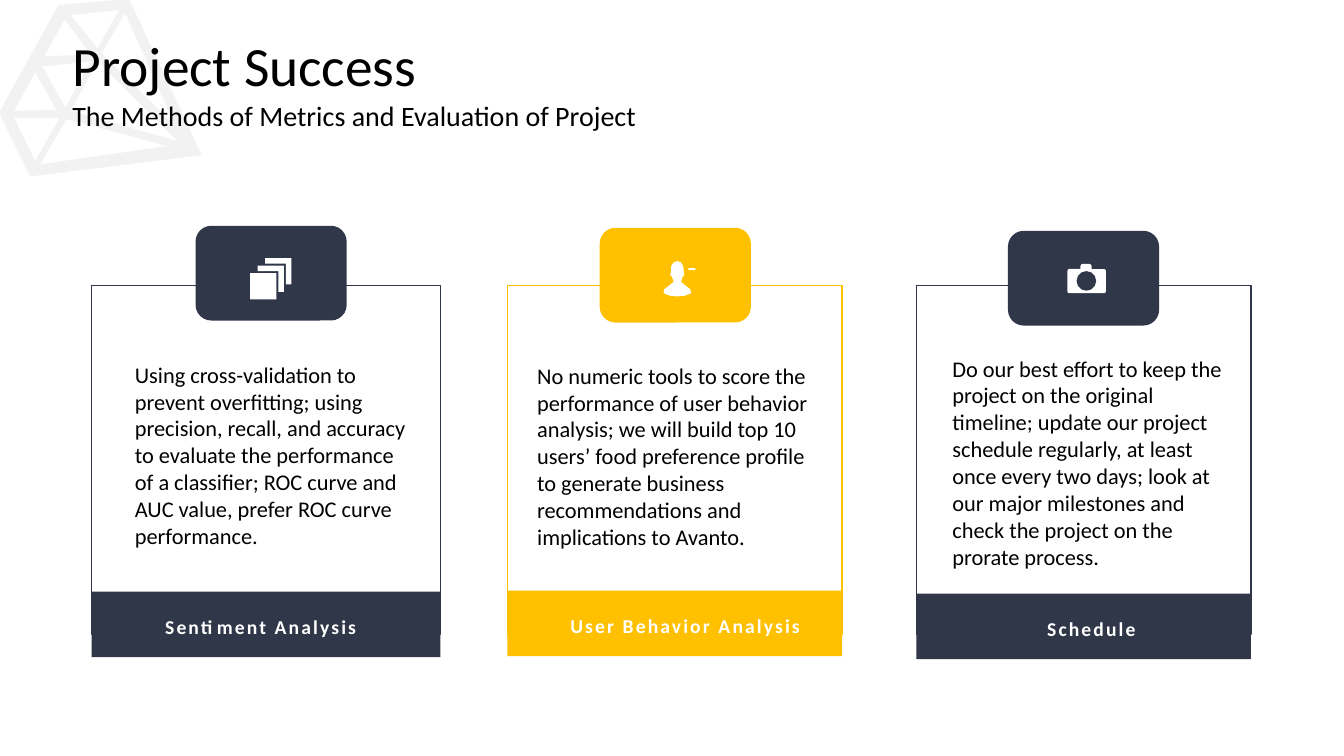
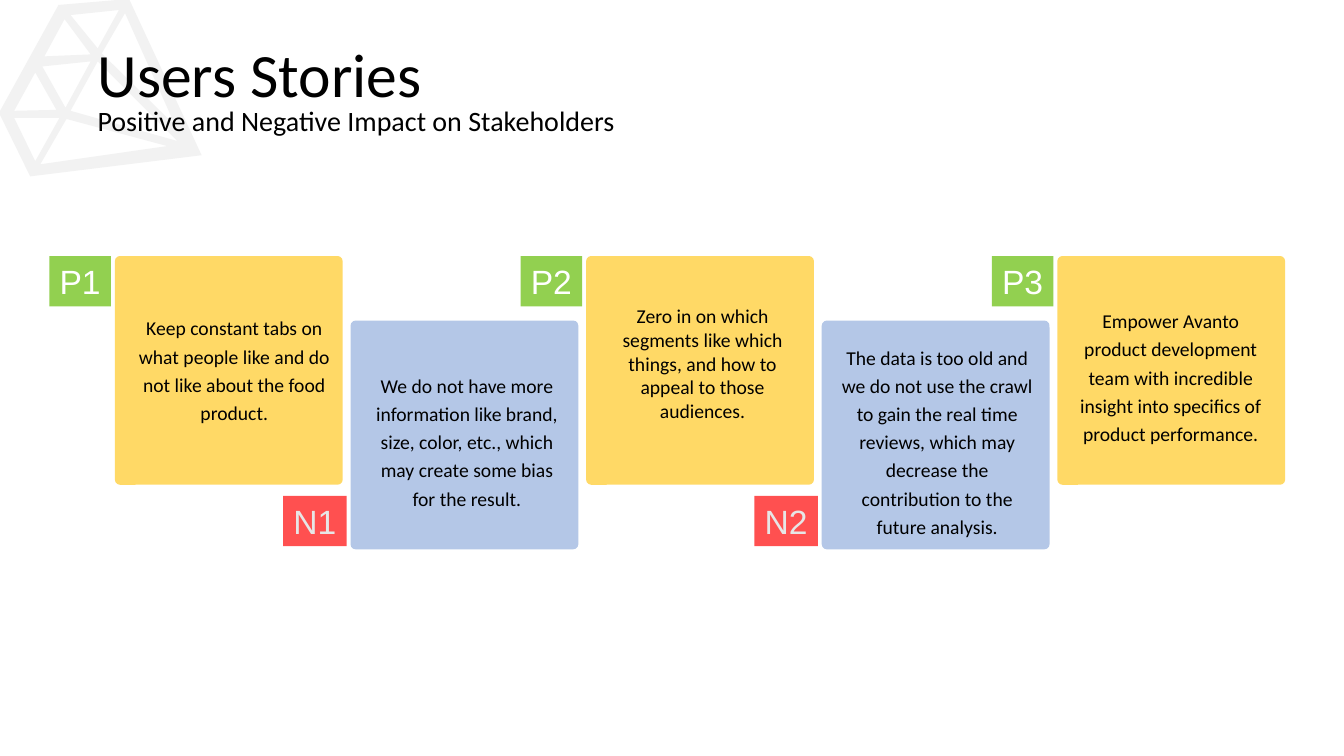
"""Build two slides: project success cards and user story tiles."""
from dataclasses import dataclass
from pptx import Presentation
from pptx.dml.color import RGBColor
from pptx.enum.shapes import MSO_SHAPE as Kind
from pptx.enum.text import MSO_ANCHOR as Anchor, MSO_AUTO_SIZE as Fit, PP_ALIGN as Align
from pptx.oxml.ns import qn
from pptx.util import Pt


@dataclass(frozen=True)
class Theme:
    navy: str = "303749"
    amber: str = "FFC000"
    gem: str = "F2F2F2"
    sand: str = "FFD966"
    sky: str = "B4C7E7"
    green: str = "92D050"
    red: str = "FF5050"
    ink: str = "000000"
    white: str = "FFFFFF"
    pale: str = "E7E6E6"
    face: str = "Calibri"
    tagface: str = "Arial"
    sub: int = 20
    body: int = 16
    note: int = 14
    tag: int = 24


T = Theme()

HEADS = [
    ("Project Success", 39.6, (44.6, 21.6, 828, 52.6),
     "The Methods of Metrics and Evaluation of Project", 67),
    ("Users Stories", 44, (62.6, 24.5, 828, 58.3),
     "Positive and Negative Impact on Stakeholders", 70.6),
]
CARDS = [
    dict(x=65.5, w=249.1, color=T.navy, tab=(139.7, 161.3), foot=422.6,
         label="Sentiment Analysis", left=110.9, box=(89.3, 254.2, 211, 143.3),
         text="Using cross-validation to prevent overfitting; using precision, recall, "
              "and accuracy to evaluate the performance of a classifier; ROC curve and "
              "AUC value, prefer ROC curve performance."),
    dict(x=362.5, w=239, color=T.amber, tab=(428.4, 162.7), foot=421.9,
         label="User Behavior Analysis", left=400.3, box=(376.6, 254.9, 211, 143.3),
         text="No numeric tools to score the performance of user behavior analysis; we "
              "will build top 10 users’ food preference profile to generate business "
              "recommendations and implications to Avanto."),
    dict(x=654.5, w=239, color=T.navy, tab=(720, 164.9), foot=424.1,
         label="Schedule", left=740.9, box=(673.2, 249.8, 215.3, 162.7),
         text="Do our best effort to keep the project on the original timeline; update "
              "our project schedule regularly, at least once every two days; look at our "
              "major milestones and check the project on the prorate process."),
]
STORIES = [
    ("P1", 15.8, 222.6, 1.2,
     "Keep constant tabs on what people like and do not like about the food product."),
    ("N1", 13.7, 263.5, 1.2,
     "We do not have more information like brand, size, color, etc., which may create "
     "some bias for the result."),
    ("P2", 13.7, 217.4, 1,
     "Zero in on which segments like which things, and how to appeal to those audiences."),
    ("N2", 13, 243.4, 1.2,
     "The data is too old and we do not use the crawl to gain the real time reviews, "
     "which may decrease the contribution to the future analysis."),
    ("P3", 11.5, 217.4, 1.2,
     "Empower Avanto product development team with incredible insight into specifics "
     "of product performance."),
]
GEM = [
    [(41.8, 3.6), (-0.7, 80.6), (21.6, 126), (144, 110.9), (92.2, -0.7)],
    [(85, 7.2), (69.8, 34.6), (50.4, 10.8)],
    [(46.1, 13.7), (64.8, 38.9), (31.7, 40.3)],
    [(64.8, 43.9), (46.8, 77), (30.2, 47.5)],
    [(25.2, 51.8), (40.3, 78.5), (10.1, 79.2)],
    [(10.1, 84.2), (42.5, 84.2), (25.2, 115.2)],
    [(28.8, 117.4), (47.5, 85), (119.5, 104.4)],
    [(50.4, 79.2), (69.8, 43.9), (126.7, 100.8)],
    [(125.3, 90), (72.7, 38.2), (89.3, 9.4)],
]
BUST = [(0, 186.5), (2.5, 187.3), (4.3, 190.1), (4.7, 195.1), (5, 196.6), (4, 197.4),
        (2.9, 200.2), (2.9, 201.6), (6.5, 204.5), (9.2, 206.5), (9.9, 209.5),
        (5, 211.3), (0, 211.7)]


def rgb(code):
    return RGBColor.from_string(code)


def paint(shape, fill=None, line=None):
    shape.shadow.inherit = False
    if fill:
        shape.fill.solid()
        shape.fill.fore_color.rgb = rgb(fill)
    else:
        shape.fill.background()
    if line:
        shape.line.color.rgb = rgb(line)
        shape.line.width = Pt(1)
    else:
        shape.line.fill.background()
    return shape


def block(slide, box, fill=None, line=None, kind=Kind.RECTANGLE, round=None):
    shape = slide.shapes.add_shape(kind, *map(Pt, box))
    if round is not None:
        shape.adjustments[0] = round
    return paint(shape, fill, line)


def outline(slide, loops, fill):
    loops = [[(x * 100, y * 100) for x, y in loop] for loop in loops]
    pen = slide.shapes.build_freeform(*loops[0][0], scale=Pt(1) / 100)
    for n, loop in enumerate(loops):
        if n:
            pen.move_to(*loop[0])
        pen.add_line_segments(loop[1:], close=True)
    return paint(pen.convert_to_shape(), fill)


def write(shape, text, size, color=T.ink, face=T.face, align=Align.LEFT,
          space=None, bold=False, inset=None, anchor=Anchor.TOP):
    frame = shape.text_frame
    frame.text = text
    frame.word_wrap = True
    frame.auto_size = Fit.NONE
    frame.vertical_anchor = anchor
    if inset is not None:
        frame.margin_left = frame.margin_right = Pt(inset)
        frame.margin_top = frame.margin_bottom = Pt(inset)
    para = frame.paragraphs[0]
    para.alignment = align
    para.line_spacing = space
    font = para.runs[0].font
    font.name, font.size, font.bold = face, Pt(size), bold
    font.color.rgb = rgb(color)
    return shape


def label(slide, box, text, size, **style):
    return write(slide.shapes.add_textbox(*map(Pt, box)), text, size, **style)


def start(deck, layout, head):
    name, size, box, sub, top = head
    slide = deck.slides.add_slide(layout)
    title = slide.shapes.title
    title.left, title.top, title.width, title.height = map(Pt, box)
    write(title, name, size, space=0.9, anchor=Anchor.BOTTOM)
    label(slide, (box[0], top, 480, 31.7), sub, T.sub)
    return slide


def brand(slide, layout):
    gem = outline(slide, GEM, T.gem).element
    gem.xpath(".//p:cNvPr")[0].set("id", "99")
    layout.shapes.element.insert(2, gem)


def stack(slide):
    side, edge, step = 18.8, 4, 5.4
    x, y = 178.6, 195.1
    block(slide, (x, y, side, side), T.white)
    for n in (1, 2):
        a, b = x + n * step, y - n * step
        c, d = a + side, b + side
        outline(slide, [[(a, b), (c, b), (c, d), (c - edge, d),
                         (c - edge, b + edge), (a, b + edge)]], T.white)


def person(slide):
    mid = 483.8
    right = [(mid + x, y) for x, y in BUST]
    left = [(mid - x, y) for x, y in BUST[-2:0:-1]]
    outline(slide, [right + left], T.white)
    block(slide, (491.8, 191.5, 5, 1.4), T.white)


def camera(slide):
    for box, round in (((762.5, 192.2, 27.4, 17.3), 0.08), ((771.8, 188.6, 8, 8), 0.2)):
        block(slide, box, T.white, kind=Kind.ROUNDED_RECTANGLE, round=round)
    block(slide, (769, 193.7, 14, 14), T.navy, kind=Kind.OVAL)


def cards(slide):
    for card, icon in zip(CARDS, (stack, person, camera)):
        x, w, color, foot = card["x"], card["w"], card["color"], card["foot"]
        block(slide, (x, 203.8, w, 249.1), line=color)
        block(slide, (x, foot, w, 46.8), color)
        block(slide, (*card["tab"], 108, 67.7), color, kind=Kind.ROUNDED_RECTANGLE)
        icon(slide)
        label(slide, card["box"], card["text"], T.body)
        name = label(slide, (card["left"], foot + 13, 190, 24.5), card["label"],
                     T.note, color=T.white, bold=True)
        for props in name.element.iter(qn("a:rPr")):
            props.set("spc", "150")


def stories(slide):
    for n, (code, shift, top, space, text) in enumerate(STORIES):
        x = 82.1 + n * 168.3
        if code.startswith("P"):
            y, fill = 182.9, T.sand
            tag, back, ink = (x - 46.8, y, 43.9, 36), T.green, T.white
        else:
            y, fill = 229, T.sky
            tag, back, ink = (x - 48.2, 354.2, 45.4, 36), T.red, T.pale
        block(slide, (x, y, 162.7, 163.4), fill, kind=Kind.ROUNDED_RECTANGLE, round=0.022)
        write(block(slide, tag, back), code, T.tag, color=ink, face=T.tagface,
              align=Align.CENTER, inset=0, anchor=Anchor.MIDDLE)
        label(slide, (x + shift, top, 139, 120), text, T.note,
              align=Align.CENTER, space=space, inset=0)


def main():
    deck = Presentation()
    deck.slide_width, deck.slide_height = Pt(960), Pt(540)
    layout = deck.slide_layouts[5]
    first, second = [start(deck, layout, head) for head in HEADS]
    brand(first, layout)
    cards(first)
    stories(second)
    deck.save("out.pptx")


main()
